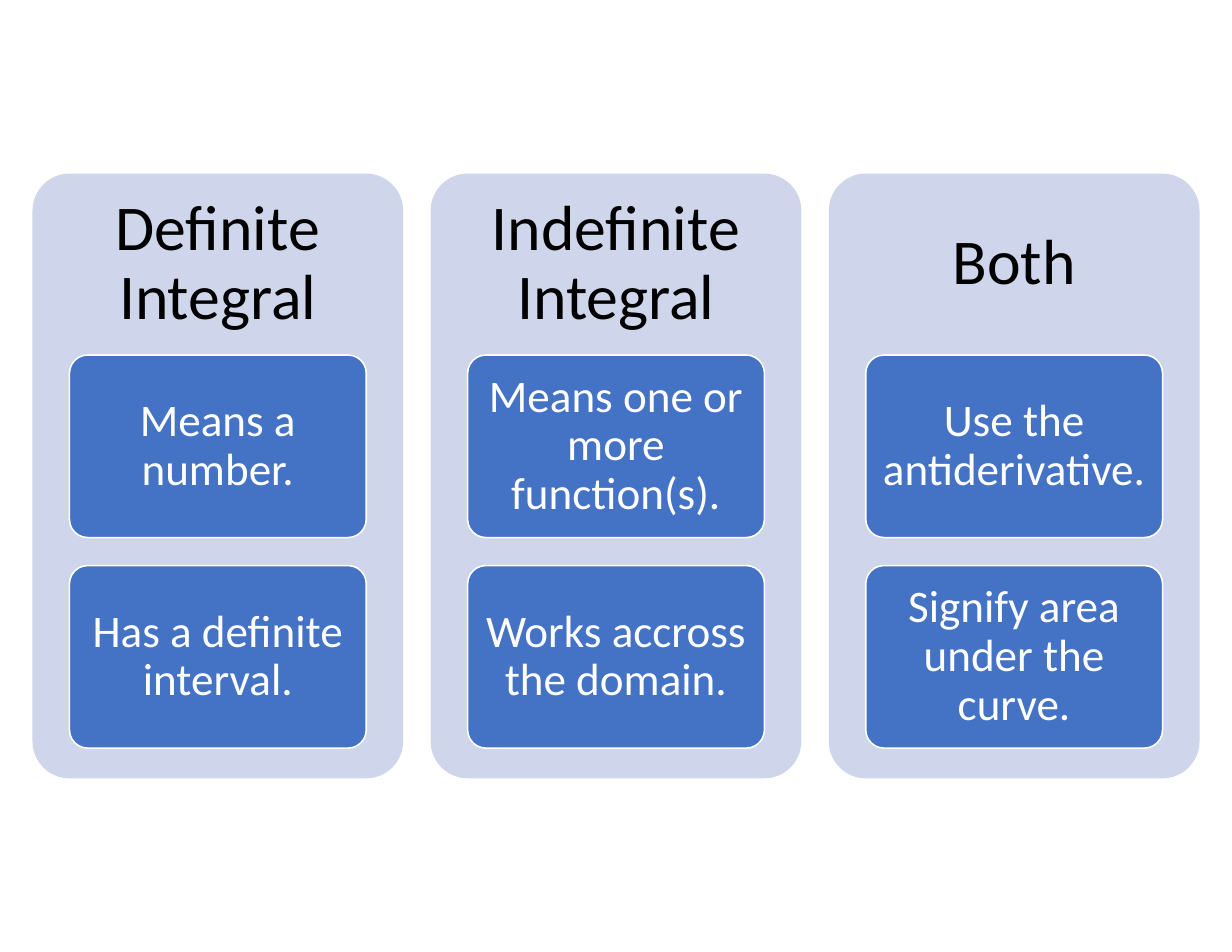
from dataclasses import dataclass

from pptx import Presentation
from pptx.dml.color import RGBColor
from pptx.enum.shapes import MSO_SHAPE
from pptx.enum.text import MSO_ANCHOR, PP_ALIGN
from pptx.util import Inches, Pt

COLUMNS = [
    ("Definite Integral", ["Means a number.", "Has a definite interval."]),
    ("Indefinite Integral", ["Means one or more function(s).", "Works accross the domain."]),
    ("Both", ["Use the antiderivative.", "Signify area under the curve."]),
]


@dataclass(frozen=True)
class Theme:
    font: str = "Calibri"
    heading_size: int = 41
    card_size: int = 29
    panel: RGBColor = RGBColor(0xCF, 0xD5, 0xEA)
    card: RGBColor = RGBColor(0x44, 0x72, 0xC4)
    heading_text: RGBColor = RGBColor(0, 0, 0)
    card_text: RGBColor = RGBColor(0xFF, 0xFF, 0xFF)


THEME = Theme()

SLIDE_WIDTH, SLIDE_HEIGHT = 11, 8.5
PANEL_LEFT, PANEL_TOP = 0.29, 1.55
PANEL_WIDTH, PANEL_HEIGHT = 3.31, 5.4
PANEL_STEP = 3.555
HEADING_HEIGHT = 1.62
CARD_WIDTH, CARD_HEIGHT = 2.65, 1.63
CARD_GAP = 0.25


def add_rounded_box(slide, left, top, width, height, fill):
    shape = slide.shapes.add_shape(
        MSO_SHAPE.ROUNDED_RECTANGLE,
        Inches(left), Inches(top), Inches(width), Inches(height),
    )
    shape.adjustments[0] = 0.1
    shape.shadow.inherit = False
    shape.fill.solid()
    shape.fill.fore_color.rgb = fill
    shape.line.fill.background()
    return shape


def set_centered_text(shape, text, size, color, inset_x, inset_y):
    frame = shape.text_frame
    frame.text = text
    frame.word_wrap = True
    frame.vertical_anchor = MSO_ANCHOR.MIDDLE
    frame.margin_left = frame.margin_right = Inches(inset_x)
    frame.margin_top = frame.margin_bottom = Inches(inset_y)
    paragraph = frame.paragraphs[0]
    paragraph.alignment = PP_ALIGN.CENTER
    paragraph.line_spacing = 0.9
    font = paragraph.runs[0].font
    font.name = THEME.font
    font.size = Pt(size)
    font.color.rgb = color


def add_column(slide, left, heading, statements):
    add_rounded_box(slide, left, PANEL_TOP, PANEL_WIDTH, PANEL_HEIGHT, THEME.panel)
    heading_box = slide.shapes.add_textbox(
        Inches(left), Inches(PANEL_TOP), Inches(PANEL_WIDTH), Inches(HEADING_HEIGHT)
    )
    set_centered_text(heading_box, heading, THEME.heading_size, THEME.heading_text, 0.17, 0.17)

    card_left = left + (PANEL_WIDTH - CARD_WIDTH) / 2
    for row, statement in enumerate(statements):
        card_top = PANEL_TOP + HEADING_HEIGHT + row * (CARD_HEIGHT + CARD_GAP)
        card = add_rounded_box(slide, card_left, card_top, CARD_WIDTH, CARD_HEIGHT, THEME.card)
        card.line.color.rgb = THEME.card_text
        card.line.width = Pt(1)
        set_centered_text(card, statement, THEME.card_size, THEME.card_text, 0.08, 0.06)


def main():
    presentation = Presentation()
    presentation.slide_width = Inches(SLIDE_WIDTH)
    presentation.slide_height = Inches(SLIDE_HEIGHT)
    slide = presentation.slides.add_slide(presentation.slide_layouts[6])
    for index, (heading, statements) in enumerate(COLUMNS):
        add_column(slide, PANEL_LEFT + index * PANEL_STEP, heading, statements)
    presentation.save("out.pptx")


if __name__ == "__main__":
    main()
